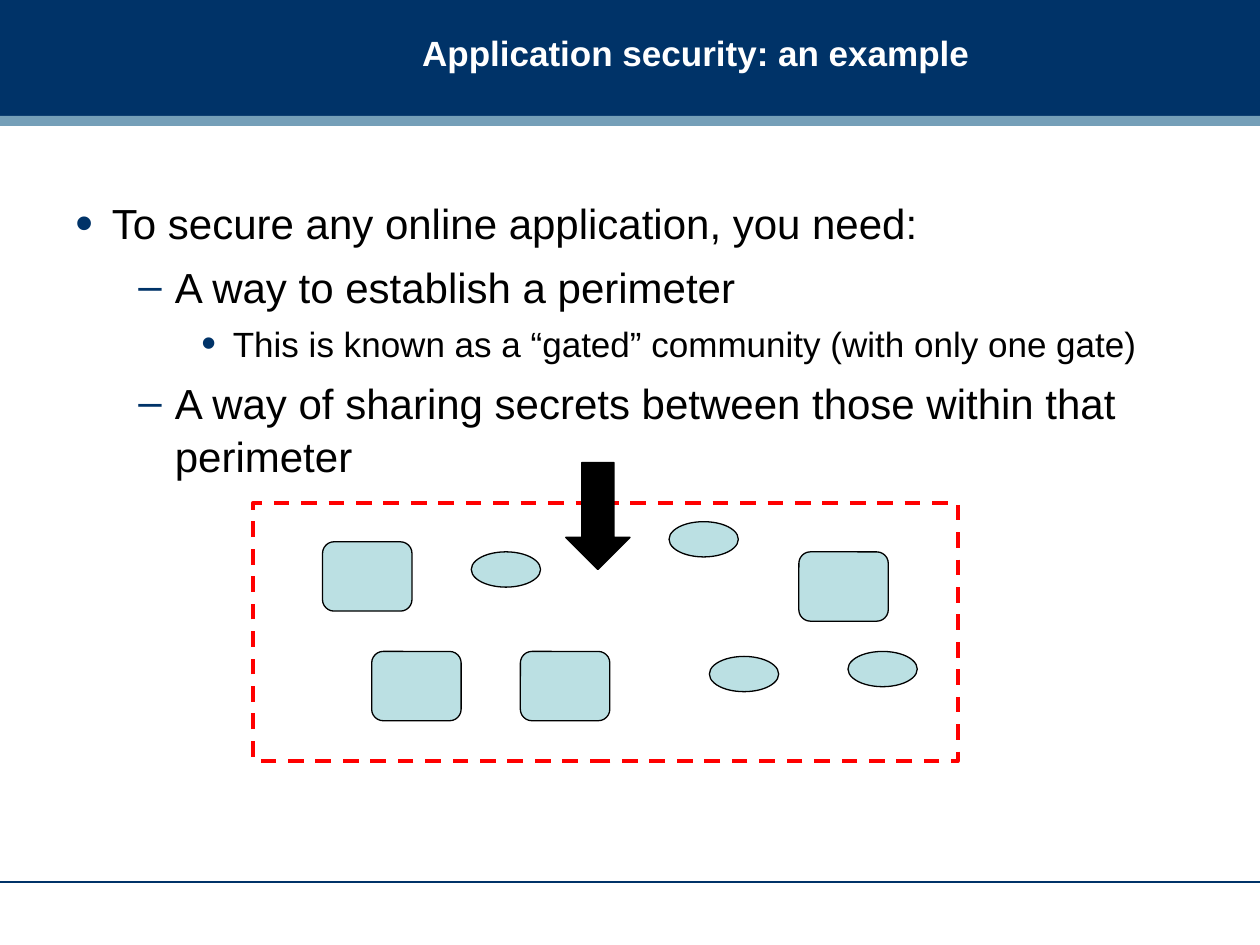
from dataclasses import dataclass

from lxml.etree import SubElement
from pptx import Presentation
from pptx.dml.color import RGBColor
from pptx.enum.dml import MSO_LINE
from pptx.enum.shapes import MSO_CONNECTOR, MSO_SHAPE
from pptx.enum.text import MSO_ANCHOR, PP_ALIGN
from pptx.oxml.ns import qn
from pptx.util import Inches, Pt


@dataclass(frozen=True)
class Theme:
    font: str = "Arial"
    navy: str = "003368"
    steel: str = "759FB8"
    pale: str = "BBE0E3"
    red: str = "FF0000"
    black: str = "000000"
    white: str = "FFFFFF"
    large: int = 24
    small: int = 20
    thin: float = 0.75
    thick: float = 2.25


THEME = Theme()
TITLE = "Application security: an example"
POINTS = [
    (0, "To secure any online application, you need:"),
    (1, "A way to establish a perimeter"),
    (2, "This is known as a “gated” community (with only one gate)"),
    (1, "A way of sharing secrets between those within that perimeter"),
]
# Per level: left margin, hanging indent, space before, text size, bullet, bullet percent
LEVELS = [
    (0.29, 0.29, 7.5, THEME.large, "•", 120),
    (0.79, 0.29, 6, THEME.large, "–", 100),
    (1.25, 0.25, 5, THEME.small, "•", 120),
]
LINE_SPACING = 1.05

PERIMETER = (2.01, 3.99, 5.59, 2.05)
GATE_ARROW = (4.49, 3.67, 0.51, 0.85)
# Shape, common size, top left corners
MEMBERS = [
    (MSO_SHAPE.ROUNDED_RECTANGLE, (0.71, 0.55),
     [(2.56, 4.3), (2.95, 5.17), (6.34, 4.38), (4.13, 5.17)]),
    (MSO_SHAPE.OVAL, (0.55, 0.28),
     [(3.74, 4.38), (6.73, 5.17), (5.63, 5.21), (5.31, 4.14)]),
]


def color(value):
    return RGBColor.from_string(value)


def add_box(slide, kind, place, fill=None, line=None, width=THEME.thin):
    shape = slide.shapes.add_shape(kind, *map(Inches, place))
    shape.shadow.inherit = False
    if fill:
        shape.fill.solid()
        shape.fill.fore_color.rgb = color(fill)
    else:
        shape.fill.background()
    if line:
        shape.line.color.rgb = color(line)
        shape.line.width = Pt(width)
    else:
        shape.line.fill.background()
    return shape


def add_run(paragraph, text, size, text_color, bold=False):
    run = paragraph.add_run()
    run.text = text
    run.font.name = THEME.font
    run.font.size = Pt(size)
    run.font.bold = bold
    run.font.color.rgb = color(text_color)


def set_bullet(paragraph, margin, hanging, character, percent):
    properties = paragraph._p.get_or_add_pPr()
    properties.set("marL", str(Inches(margin)))
    properties.set("indent", str(-Inches(hanging)))
    bullet_color = SubElement(properties, qn("a:buClr"))
    SubElement(bullet_color, qn("a:srgbClr"), val=THEME.navy)
    SubElement(properties, qn("a:buSzPct"), val=str(percent * 1000))
    SubElement(properties, qn("a:buFont"), typeface=THEME.font)
    SubElement(properties, qn("a:buChar"), char=character)


def add_frame(slide):
    add_box(slide, MSO_SHAPE.RECTANGLE, (0, 0, 10, 0.92), THEME.navy)
    add_box(slide, MSO_SHAPE.RECTANGLE, (0, 0.92, 10, 0.08), THEME.steel)
    footer_line = slide.shapes.add_connector(
        MSO_CONNECTOR.STRAIGHT, 0, Inches(7), Inches(10), Inches(7))
    footer_line.line.color.rgb = color(THEME.navy)
    footer_line.line.width = Pt(THEME.thin)
    SubElement(footer_line._element.spPr, qn("a:effectLst"))


def add_title(slide):
    title = slide.shapes.title
    slide.shapes._spTree.append(title._element)  # in front of the header band
    title.left, title.top, title.width, title.height = map(Inches, (3.25, 0, 6.58, 0.83))
    frame = title.text_frame
    frame.vertical_anchor = MSO_ANCHOR.MIDDLE
    paragraph = frame.paragraphs[0]
    paragraph.alignment = PP_ALIGN.LEFT
    add_run(paragraph, TITLE, THEME.small, THEME.white, bold=True)


def add_points(slide):
    frame = slide.shapes.add_textbox(*map(Inches, (0.5, 1.5, 9, 4.95))).text_frame
    frame.word_wrap = True
    for index, (level, text) in enumerate(POINTS):
        margin, hanging, before, size, character, percent = LEVELS[level]
        paragraph = frame.add_paragraph() if index else frame.paragraphs[0]
        paragraph.level = level
        paragraph.line_spacing = LINE_SPACING
        paragraph.space_before = Pt(before if index else 0)
        set_bullet(paragraph, margin, hanging, character, percent)
        add_run(paragraph, text, size, THEME.black)


def add_community(slide):
    perimeter = add_box(slide, MSO_SHAPE.RECTANGLE, PERIMETER,
                        line=THEME.red, width=THEME.thick)
    perimeter.line.dash_style = MSO_LINE.DASH
    for kind, size, corners in MEMBERS:
        for corner in corners:
            add_box(slide, kind, corner + size, THEME.pale, THEME.black)
    add_box(slide, MSO_SHAPE.DOWN_ARROW, GATE_ARROW, THEME.black, THEME.black)


def main():
    presentation = Presentation()
    presentation.slide_width, presentation.slide_height = Inches(10), Inches(7.5)
    slide = presentation.slides.add_slide(presentation.slide_layouts[5])
    add_frame(slide)
    add_title(slide)
    add_points(slide)
    add_community(slide)
    presentation.save("out.pptx")


if __name__ == "__main__":
    main()
